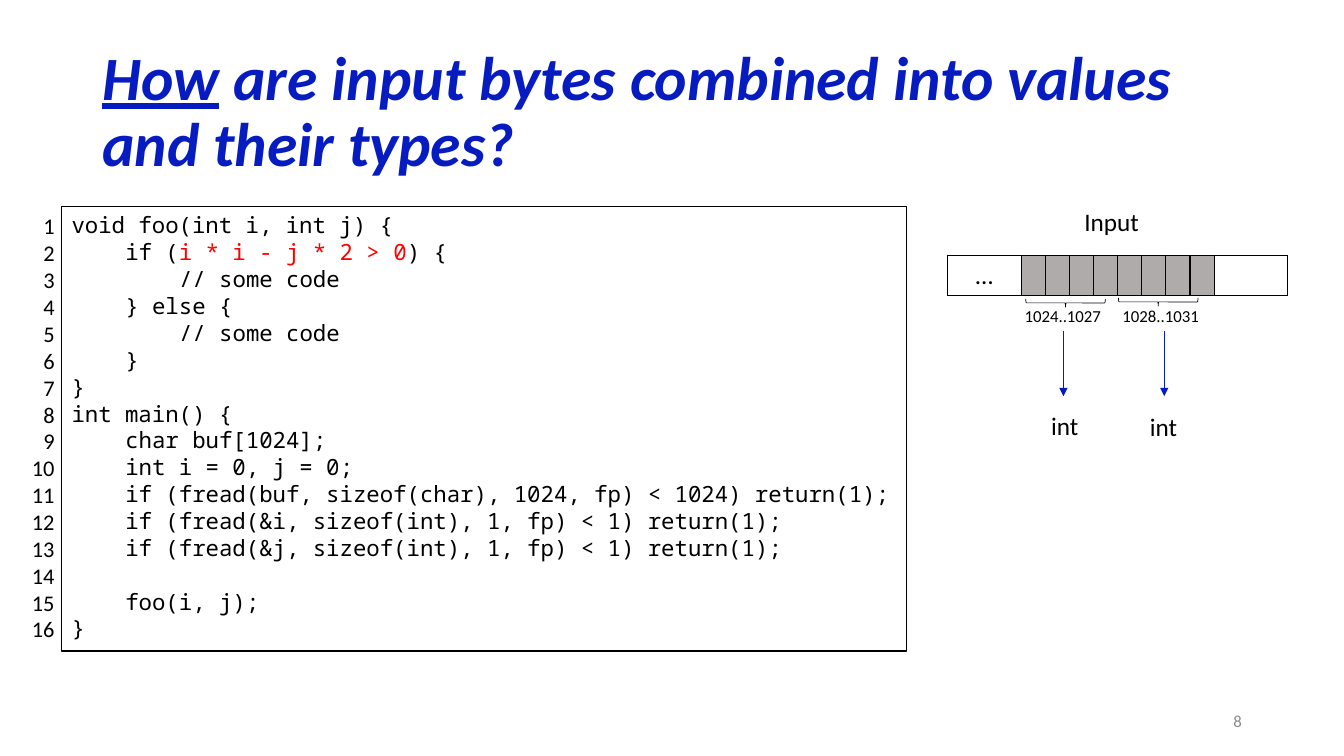
from lxml import etree
from pptx import Presentation
from pptx.dml.color import RGBColor
from pptx.enum.shapes import MSO_CONNECTOR, MSO_SHAPE
from pptx.enum.text import MSO_ANCHOR, MSO_AUTO_SIZE, PP_ALIGN
from pptx.oxml import parse_xml
from pptx.oxml.ns import nsdecls, qn
from pptx.util import Pt

LEFT, CENTER, RIGHT = PP_ALIGN.LEFT, PP_ALIGN.CENTER, PP_ALIGN.RIGHT
MIDDLE = MSO_ANCHOR.MIDDLE
FIT_SHAPE = MSO_AUTO_SIZE.SHAPE_TO_FIT_TEXT
STRAIGHT = MSO_CONNECTOR.STRAIGHT
RECTANGLE, RIGHT_BRACE = MSO_SHAPE.RECTANGLE, MSO_SHAPE.RIGHT_BRACE

BLACK, WHITE, BLUE, RED, GRAY = "000000", "FFFFFF", "071CC0", "FF0000", "AFABAB"
PAGE_GRAY = "8C8C8C"
CODE_LINE = 19.2
CODE_INDENT = 38.4


def color(hex_string):
    return RGBColor.from_string(hex_string)


def add_span(para, text, size, hex_string=BLACK, font="Calibri"):
    span = para.add_run()
    span.text = text
    span.font.name = font
    span.font.size = Pt(size)
    span.font.color.rgb = color(hex_string)
    return span


deck = Presentation()
deck.slide_width, deck.slide_height = Pt(960), Pt(540)
page = deck.slides.add_slide(deck.slide_layouts[6])
shapes = page.shapes

# Title
title = shapes.add_textbox(Pt(66), Pt(28.8), Pt(828), Pt(104.4)).text_frame
title.word_wrap = True
title.vertical_anchor = MIDDLE
title_para = title.paragraphs[0]
title_para.line_spacing = 0.9
for text, underlined in [
    ("How", True),
    (" are input bytes combined into values and their types?", False),
]:
    span = add_span(title_para, text, 44, BLUE)
    span.font.bold = span.font.italic = True
    span.font.underline = underlined

# Code listing: indent level, spans of text and color; None is an empty line
code = [
    (0, [("void foo(int i, int j) {", BLACK)]),
    (1, [("if (", BLACK), ("i * i - j * 2 > 0", RED), (") {", BLACK)]),
    (2, [("// some code", BLACK)]),
    (1, [("} else {", BLACK)]),
    (2, [("// some code", BLACK)]),
    (1, [("}", BLACK)]),
    (0, [("}", BLACK)]),
    (0, [("int main() {", BLACK)]),
    (1, [("char buf[1024];", BLACK)]),
    (1, [("int i = 0, j = 0;", BLACK)]),
    (1, [("if (fread(buf, sizeof(char), 1024, fp) < 1024) return(1);", BLACK)]),
    (1, [("if (fread(&i, sizeof(int), 1, fp) < 1) return(1);", BLACK)]),
    (1, [("if (fread(&j, sizeof(int), 1, fp) < 1) return(1);", BLACK)]),
    None,
    (1, [("foo(i, j);", BLACK)]),
    (0, [("}", BLACK)]),
]
code_box = shapes.add_shape(RECTANGLE, Pt(44), Pt(147.6), Pt(603.4), Pt(317.5))
code_box.shadow.inherit = False
code_box.fill.solid()
code_box.fill.fore_color.rgb = color(WHITE)
code_box.line.color.rgb = color(BLACK)
code_box.line.width = Pt(1)
listing = code_box.text_frame
listing.word_wrap = True
listing.vertical_anchor = MSO_ANCHOR.TOP
gap = 0
for number, line in enumerate(code):
    if line is None:
        gap = CODE_LINE
        continue
    level, spans = line
    para = listing.paragraphs[0] if number == 0 else listing.add_paragraph()
    para.alignment = LEFT
    para.line_spacing = Pt(CODE_LINE)
    para.space_before = Pt(gap)
    gap = 0
    properties = para._p.get_or_add_pPr()
    properties.set("marL", str(Pt(level * CODE_INDENT)))
    properties.set("indent", "0")
    for text, hex_string in spans:
        add_span(para, text, 16, hex_string, "Noto Sans Mono")

# Input buffer
byte_count = 8
widths = [52.6] + [17.2] * byte_count + [52.6]
frame = shapes.add_table(1, len(widths), Pt(676.8), Pt(182.2), Pt(sum(widths)), Pt(28.8))
buffer = frame.table
buffer.first_row = buffer.horz_banding = False
for index, width in enumerate(widths):
    buffer.columns[index].width = Pt(width)
    cell = buffer.cell(0, index)
    cell_properties = cell._tc.get_or_add_tcPr()
    for side in ("lnL", "lnR", "lnT", "lnB"):
        cell_properties.append(parse_xml(
            f'<a:{side} {nsdecls("a")} w="{Pt(1)}"><a:solidFill>'
            f'<a:srgbClr val="{BLACK}"/></a:solidFill></a:{side}>'))
    if 1 <= index <= byte_count:
        cell.fill.solid()
        cell.fill.fore_color.rgb = color(GRAY)
    else:
        cell.fill.background()
ellipsis_para = buffer.cell(0, 0).text_frame.paragraphs[0]
ellipsis_para.alignment = CENTER
add_span(ellipsis_para, "…", 18)

# Braces under the two groups of four bytes
for left, top in [(758.2, 187.9), (824.4, 187.2)]:
    brace = shapes.add_shape(RIGHT_BRACE, Pt(left), Pt(top), Pt(5.8), Pt(56.9))
    brace.rotation = 90
    brace.shadow.inherit = False
    brace.fill.background()
    brace.line.color.rgb = color(BLACK)
    brace.line.width = Pt(0.5)

# Arrows from bytes to types
for x in (759.6, 831.6):
    arrow = shapes.add_connector(STRAIGHT, Pt(x), Pt(236.2), Pt(x), Pt(283))
    arrow.line.color.rgb = color(BLUE)
    arrow.line.width = Pt(1)
    etree.SubElement(arrow.line._get_or_add_ln(), qn("a:tailEnd"), type="triangle")
    etree.SubElement(arrow._element.spPr, qn("a:effectLst"))

# Labels, line numbers and page number: lines, box, size, color, alignment
line_numbers = [str(number + 1) for number in range(len(code))]
labels = [
    (["Input"], (767.5, 144, 54, 29), 18, BLACK, LEFT),
    (["1024..1027"], (724.3, 214.6, 69.8, 21.8), 12, BLACK, CENTER),
    (["1028..1031"], (794.2, 214.6, 69.8, 21.8), 12, BLACK, CENTER),
    (["int"], (743.8, 289.4, 33.8, 29), 18, BLACK, LEFT),
    (["int"], (814.3, 290.2, 33.8, 29), 18, BLACK, LEFT),
    (line_numbers, (15.1, 148.3, 31, 317.5), 16, BLACK, RIGHT),
    (["8"], (678.2, 500.4, 216, 28.8), 12, PAGE_GRAY, RIGHT),
]
for lines, place, size, hex_string, alignment in labels:
    label = shapes.add_textbox(*[Pt(length) for length in place]).text_frame
    if hex_string == PAGE_GRAY:
        label.word_wrap = True
        label.vertical_anchor = MIDDLE
    else:
        label.word_wrap = False
        label.auto_size = FIT_SHAPE
    for index, text in enumerate(lines):
        para = label.paragraphs[0] if index == 0 else label.add_paragraph()
        para.alignment = alignment
        add_span(para, text, size, hex_string)

deck.save("out.pptx")
